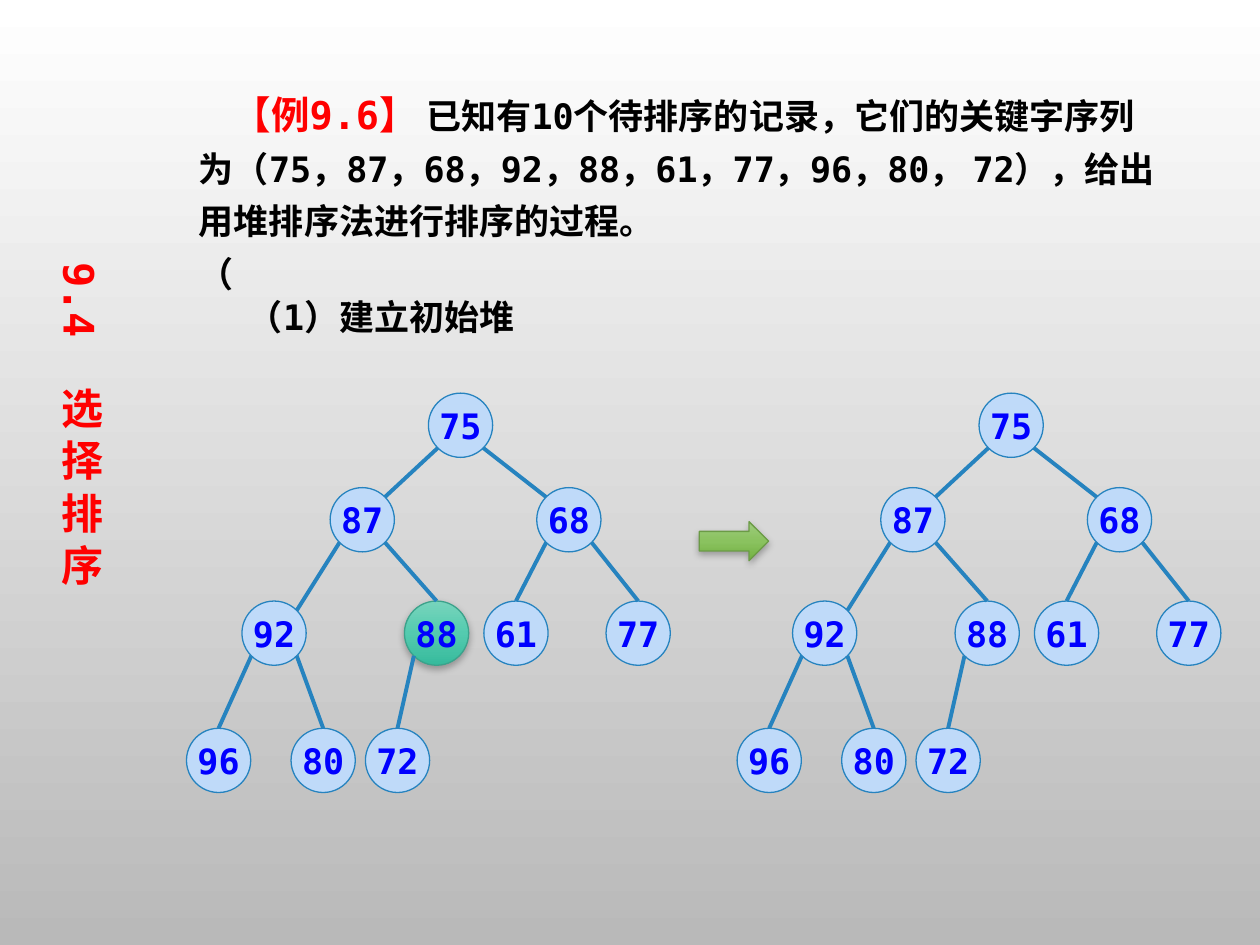
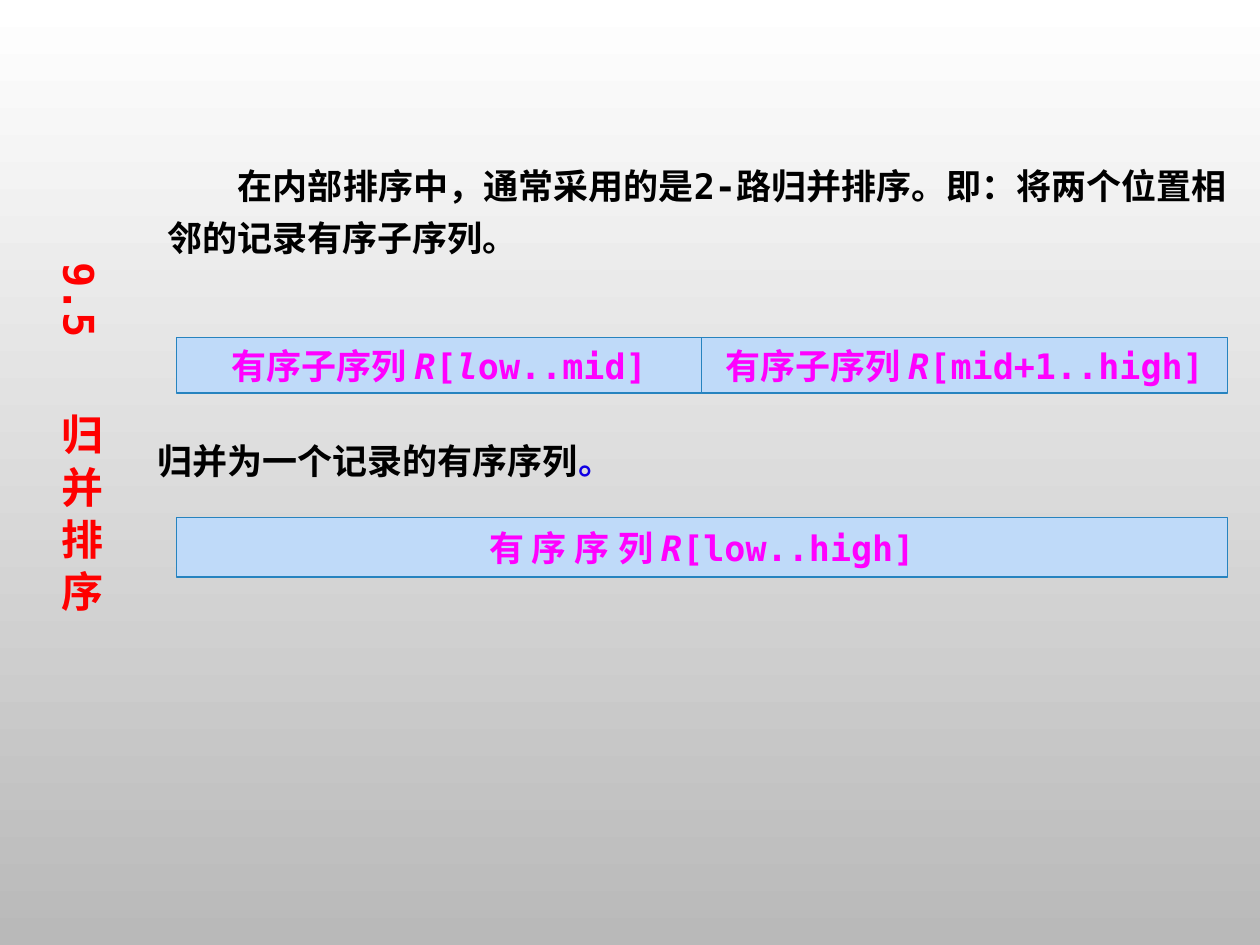
from lxml import etree
from pptx import Presentation
from pptx.dml.color import RGBColor
from pptx.enum.lang import MSO_LANGUAGE_ID
from pptx.enum.shapes import MSO_CONNECTOR, MSO_SHAPE
from pptx.enum.text import MSO_ANCHOR, MSO_AUTO_SIZE, PP_ALIGN
from pptx.oxml.ns import qn
from pptx.util import Inches, Pt

OVAL, RECT, ARROW = MSO_SHAPE.OVAL, MSO_SHAPE.RECTANGLE, MSO_SHAPE.RIGHT_ARROW
LINE = MSO_CONNECTOR.STRAIGHT
TOP, MIDDLE = MSO_ANCHOR.TOP, MSO_ANCHOR.MIDDLE
LEFT, CENTER = PP_ALIGN.LEFT, PP_ALIGN.CENTER
NO_FIT = MSO_AUTO_SIZE.NONE
CHINESE = MSO_LANGUAGE_ID.SIMPLIFIED_CHINESE

FONT = "DejaVu Sans Mono"
RED, BLUE, INK, PINK, BLACK = "FF0000", "0000FF", "1000E4", "FF00FF", "000000"
PALE, EDGE = "BFDAF9", "2683BF"
TEAL = ["77D4BC", "54CBAF", "36BA9C"], "3CA28B"
GREEN = ["9ECC7E", "8AC25F", "73B142"], "6B9B46"

# Binary tree in heap order: the children of node i are 2i+1 and 2i+2
KEYS = [75, 87, 68, 92, 88, 61, 77, 96, 80, 72]
LEFTS = [3.4, 2.62, 4.26, 1.92, 3.21, 3.84, 4.81, 1.48, 2.31, 2.9]
ROWS = [3.12, 3.87, 4.77, 5.78]
NODE, DIAG = 0.51, 0.18  # node size, offset of a diagonal point from its centre


def color(code):
    return RGBColor.from_string(code)


def blend(fill, root, codes):
    """Fill with evenly spaced colours from top to bottom."""
    fill.gradient()
    fill.gradient_angle = 270
    stops = next(root.iter(qn("a:gsLst")))
    stops.clear()
    for i, code in enumerate(codes):
        stop = etree.SubElement(stops, qn("a:gs"), pos=str(i * 100000 // (len(codes) - 1)))
        etree.SubElement(stop, qn("a:srgbClr"), val=code)


def write(frame, paras, size=20, tint=BLACK, align=LEFT, anchor=TOP, wrap=True,
          side=0.1, space=None, indent=0):
    """Write paragraphs, each a list of runs: text or (text, own format)."""
    frame.word_wrap, frame.auto_size = wrap, NO_FIT
    frame.vertical_anchor = anchor
    frame.margin_left = frame.margin_right = Inches(side)
    for i, runs in enumerate(paras):
        para = frame.add_paragraph() if i else frame.paragraphs[0]
        para.alignment = align
        para.line_spacing = space
        if indent and not i:
            para._p.get_or_add_pPr().set("indent", str(Inches(indent)))
        for part in runs:
            text, own = (part, {}) if isinstance(part, str) else part
            run = para.add_run()
            run.text = text
            font = run.font
            font.name, font.bold, font.language_id = FONT, True, CHINESE
            font.size = Pt(own.get("size", size))
            font.italic = own.get("italic", False)
            font.color.rgb = color(own.get("tint", tint))
            if "track" in own:
                run._r.get_or_add_rPr().set("spc", str(own["track"] * 100))


class Deck:
    def __init__(self):
        self.prs = Presentation()
        self.prs.slide_width, self.prs.slide_height = Inches(10), Inches(7.5)
        master = self.prs.slide_master
        blend(master.background.fill, master.element, ["FFFFFF", "B9B9B9"])

    def page(self, num, name, track):
        """Start a slide with its vertical title at the left."""
        self.slide = self.prs.slides.add_slide(self.prs.slide_layouts[5])
        self.home = self.slide.shapes
        title = self.home.title
        title.left, title.top = Inches(0.33), Inches(2.03)
        title.width, title.height = Inches(0.61), Inches(3.2)
        write(title.text_frame, [[num, (" ", {"track": track}), name]],
              size=24, tint=RED, align=CENTER)
        title.text_frame._txBody.bodyPr.set("vert", "eaVert")

    def group(self):
        self.home = self.slide.shapes.add_group_shape().shapes

    def ungroup(self):
        self.home = self.slide.shapes

    def text(self, box, paras, **style):
        item = self.home.add_textbox(*map(Inches, box))
        write(item.text_frame, paras, **style)

    def shape(self, kind, box, look=(PALE, EDGE), runs=(), **style):
        fill, edge = look
        item = self.home.add_shape(kind, *map(Inches, box))
        item.shadow.inherit = False
        item.line.color.rgb = color(edge)
        item.line.width = Pt(0.75)
        if isinstance(fill, str):
            item.fill.solid()
            item.fill.fore_color.rgb = color(fill)
        else:
            blend(item.fill, item.element, fill)
            self.shade(item)
        if runs:
            write(item.text_frame, [runs], align=CENTER, anchor=MIDDLE, **style)

    def shade(self, item):
        effects = item.element.spPr.find(qn("a:effectLst"))
        drop = etree.SubElement(effects, qn("a:outerShdw"), blurRad=str(Pt(4)),
                                dist=str(Pt(2)), dir="5400000", rotWithShape="0")
        tone = etree.SubElement(drop, qn("a:srgbClr"), val=BLACK)
        etree.SubElement(tone, qn("a:alpha"), val="28000")

    def link(self, start, end):
        line = self.home.add_connector(LINE, *map(Inches, (*start, *end)))
        line.line.color.rgb = color(EDGE)
        line.line.width = Pt(2.25)
        etree.SubElement(line.element.spPr, qn("a:effectLst"))

    def tree(self, shift=0, marked=None):
        self.group()
        spots = [(x + shift, ROWS[(i + 1).bit_length() - 1]) for i, x in enumerate(LEFTS)]
        mids = [(x + NODE / 2, y + NODE / 2) for x, y in spots]
        for key, spot in zip(KEYS, spots):
            look = TEAL if key == marked else (PALE, EDGE)
            self.shape(OVAL, (*spot, NODE, NODE), look, [str(key)], tint=BLUE, side=0)
        for i in range(1, len(KEYS)):
            way = -DIAG if i % 2 else DIAG
            (px, py), (cx, cy) = mids[(i - 1) // 2], mids[i]
            # The upper edges end on the diagonal, the others on top of the child
            end = (cx - way, cy - DIAG) if i < 4 else (cx, cy - NODE / 2)
            self.link((px + way, py + DIAG), end)
        self.ungroup()


def main():
    deck = Deck()
    slant = {"italic": True}

    # Heap sort example
    deck.page("9.4", "选 择 排 序", 14)
    deck.text((1.48, 0.62, 7.81, 1.78), [
        [("【例9.6】 ", {"size": 22, "tint": RED}),
         "已知有10个待排序的记录，它们的关键字序列为（75，87，68，92，88，61，77，96，80， 72），"
         "给出用堆排序法进行排序的过程。"],
        ["（"]], space=Pt(30), indent=0.27)
    deck.text((1.87, 2.3, 2.73, 0.44), [["（1）建立初始堆"]])
    deck.tree(marked=88)
    deck.tree(shift=4.37)
    deck.shape(ARROW, (5.55, 4.14, 0.55, 0.31), GREEN)

    # Two-way merge
    deck.page("9.5", "归 并 排 序", 29)
    deck.text((1.23, 1.17, 8.77, 0.9), [[
        "在内部排序中，通常采用的是2-路归并排序。即：将两个位置相邻的记录有序子序列。"]],
        space=1.25, indent=0.56)
    deck.text((1.15, 3.44, 3.87, 0.44),
              [["归并为一个记录的有序序列", ("。", {"tint": INK})]], wrap=False)
    half = 4.17
    bars = [
        ((1.4, 2.68, half, 0.44), ["有序子序列 ", ("R", slant), "[", ("l", slant), "ow..mid]"]),
        ((1.4 + half, 2.68, half, 0.44), ["有序子序列 ", ("R", slant), "[mid+1..high]"]),
        ((1.4, 4.11, 2 * half, 0.47), ["有 序 序 列 ", ("R", slant), "[low..high]"]),
    ]
    for box, runs in bars:
        deck.shape(RECT, box, runs=runs, tint=PINK)

    deck.prs.save("out.pptx")


if __name__ == "__main__":
    main()
